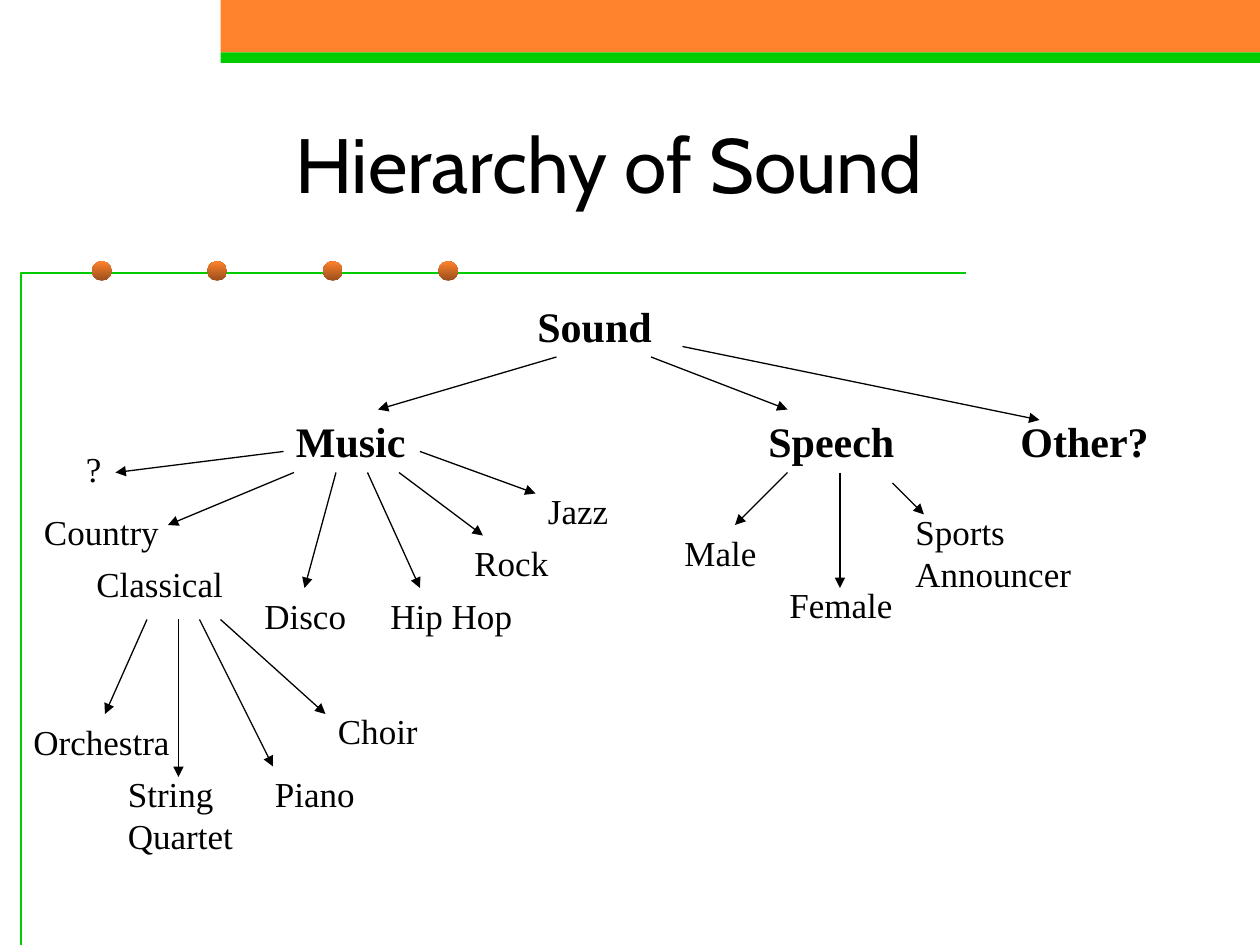
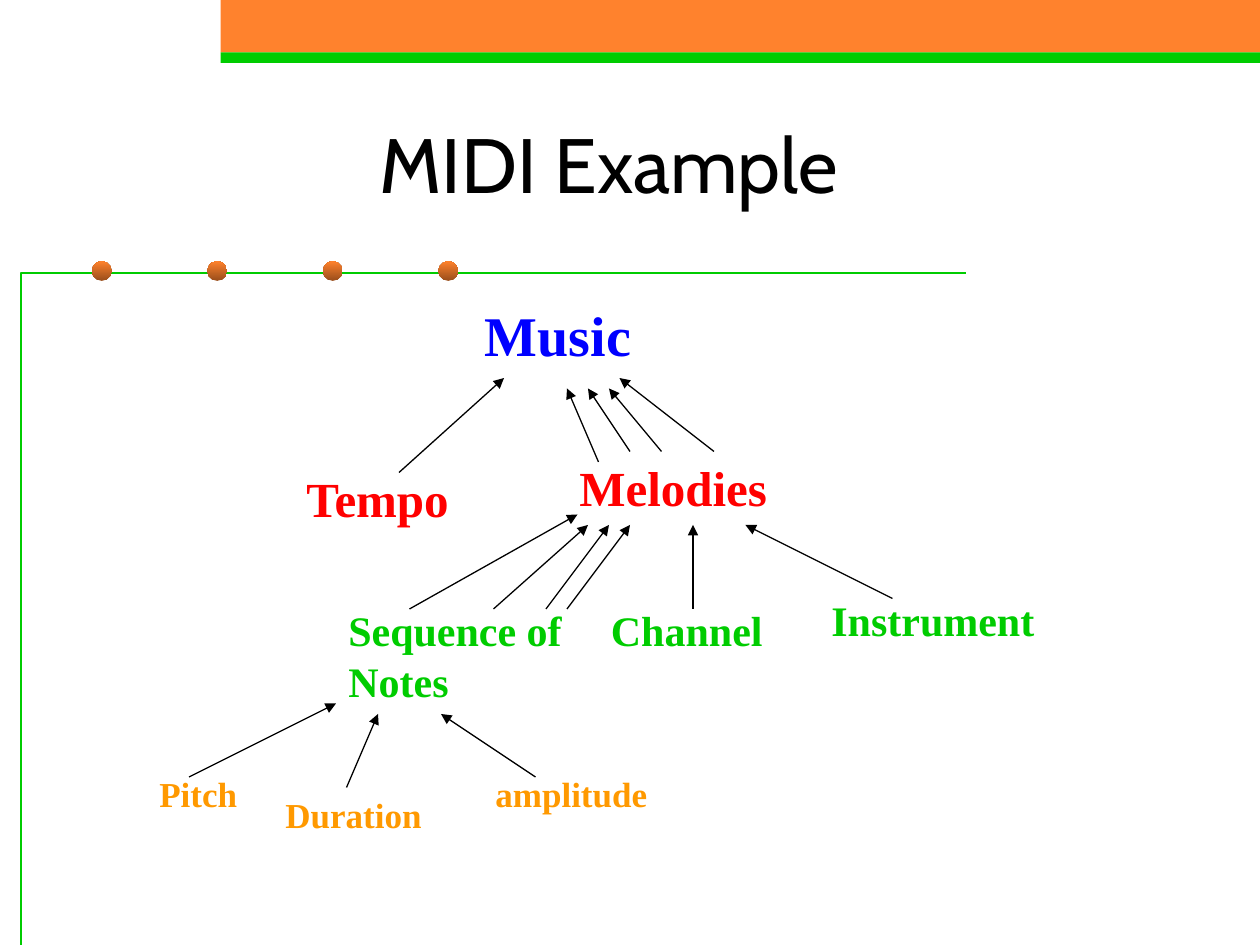
"""Build two slides of sound and music hierarchies."""
import pptx
import pptx.dml.color
import pptx.enum.shapes
import pptx.enum.text
import pptx.util
from pptx.oxml.ns import qn
from lxml import etree

PX = 9525
WIDTH, HEIGHT = 960, 720
COLORS = {
    "black": "000000", "orange": "FF822D", "brown": "9A4E1B", "green": "00CC00",
    "blue": "0000FF", "red": "FF0000", "amber": "FF9900",
}
BODY_FONT = "Times New Roman"
TITLE = {"name": "Cabin", "size": 44, "color": "black"}
CATEGORY = {"name": BODY_FONT, "size": 24, "bold": True, "color": "black"}
EXAMPLE = {"name": BODY_FONT, "size": 20, "bold": False, "color": "black"}
ROOT = {"name": BODY_FONT, "size": 32, "bold": True, "color": "blue"}
PART = {"name": BODY_FONT, "size": 28, "bold": True, "color": "red"}
FEATURE = {"name": BODY_FONT, "size": 24, "bold": True, "color": "green"}
DETAIL = {"name": BODY_FONT, "size": 20, "bold": True, "color": "amber"}

SOUND_LABELS = [
    (CATEGORY, [("Sound", 400, 224, 112), ("Music", 216, 312, 112),
                ("Other?", 768, 312, 128), ("Speech", 576, 312, 120)]),
    (EXAMPLE, [("Classical", 64, 424, 128), ("Country", 24, 384, 120),
               ("Disco", 192, 448, 88), ("Hip Hop", 288, 448, 128),
               ("Jazz", 408, 368, 72), ("Rock", 352, 408, 88),
               ("Sports\nAnnouncer", 688, 384, 152, 2), ("Female", 592, 440, 112),
               ("Male", 512, 400, 96), ("Orchestra", 16, 544, 128),
               ("String\nQuartet", 88, 584, 112, 2), ("Choir", 248, 536, 96),
               ("Piano", 200, 584, 88), ("?", 56, 336, 32)]),
]
SOUND_ARROWS = [
    (424, 272, 288, 312), (496, 272, 600, 312), (520, 264, 792, 320),
    (216, 344, 88, 360), (224, 360, 128, 400), (256, 360, 232, 448),
    (280, 360, 320, 448), (304, 360, 368, 408), (320, 344, 408, 376),
    (600, 360, 560, 400, "Male"), (640, 360, 640, 448), (680, 368, 704, 392),
    (112, 472, 80, 544, "Orchestra"), (136, 472, 136, 592),
    (152, 472, 208, 584), (168, 472, 248, 544),
]
MIDI_LABELS = [
    (ROOT, [("Music", 360, 224, 152)]),
    (PART, [("Tempo", 224, 352, 144), ("Melodies", 432, 344, 176)]),
    (FEATURE, [("Channel", 456, 456, 136), ("Instrument", 624, 448, 200),
               ("Sequence of Notes", 256, 456, 184, 2)]),
    (DETAIL, [("Pitch", 112, 584, 80), ("Duration", 208, 600, 144),
              ("amplitude", 368, 584, 136)]),
]
MIDI_ARROWS = [
    (304, 360, 384, 288), (456, 352, 432, 296), (480, 344, 448, 296),
    (504, 344, 464, 296), (544, 344, 472, 288), (528, 464, 528, 400),
    (680, 456, 568, 400), (312, 464, 440, 392), (376, 464, 448, 400),
    (416, 464, 464, 400), (432, 464, 480, 400), (144, 592, 256, 536),
    (264, 600, 288, 544), (408, 592, 336, 544),
]


def px(*values):
    """Turn pixel lengths into EMU."""
    return [round(v * PX) for v in values]


def rgb(name):
    """Look up a named colour."""
    return pptx.dml.color.RGBColor.from_string(COLORS[name])


def style_line(line, color):
    """Give a line its thin weight and colour."""
    line.width = pptx.util.Pt(0.75)
    line.color.rgb = rgb(color)


def write(tf, text, style):
    """Write one formatted paragraph and return it."""
    tf.word_wrap = True
    tf.auto_size = pptx.enum.text.MSO_AUTO_SIZE.SHAPE_TO_FIT_TEXT
    p = tf.paragraphs[0]
    p.text = text
    for r in p.runs:
        for key, value in style.items():
            if key == "color":
                r.font.color.rgb = rgb(value)
            else:
                setattr(r.font, key, pptx.util.Pt(value) if key == "size" else value)
    return p


def add_plain_shape(s, kind, box):
    """Add a preset shape without outline or shadow."""
    sp = s.shapes.add_shape(kind, *px(*box))
    sp.shadow.inherit = False
    sp.line.fill.background()
    return sp


def add_band(s, color, top, height):
    """Add a coloured band that runs to the right edge."""
    sp = add_plain_shape(s, pptx.enum.shapes.MSO_SHAPE.RECTANGLE,
                         (168, top, WIDTH - 168, height))
    sp.fill.solid()
    sp.fill.fore_color.rgb = rgb(color)


def add_dot(s, left):
    """Add a shaded dot on the frame line."""
    sp = add_plain_shape(s, pptx.enum.shapes.MSO_SHAPE.OVAL, (left, 199, 15, 15))
    sp.fill.gradient()
    sp.fill.gradient_angle = 90
    for stop, color in zip(sp.fill.gradient_stops, ("brown", "orange")):
        stop.color.rgb = rgb(color)


def add_frame(s):
    """Add the open frame along the left side and under the title."""
    builder = s.shapes.build_freeform(16, HEIGHT, scale=PX)
    builder.add_line_segments([(16, 208), (736, 208)], close=False)
    sp = builder.convert_to_shape()
    sp.shadow.inherit = False
    sp.fill.background()
    style_line(sp.line, "green")


def add_label(s, style, text, left, top, width, lines=1):
    """Add a label whose height follows from its text size."""
    size = style["size"]
    tb = s.shapes.add_textbox(*px(left, top, width, lines * size * 1.6 + 10))
    p = write(tb.text_frame, text, style)
    p.space_before = pptx.util.Pt(size * 0.625)
    return tb


def add_arrow(s, x1, y1, x2, y2, target=None):
    """Add an arrow, joined to the top of the target if there is one."""
    cx = s.shapes.add_connector(pptx.enum.shapes.MSO_CONNECTOR.STRAIGHT,
                                *px(x1, y1, x2, y2))
    if target is not None:
        cx.end_connect(target, 0)
    style_line(cx.line, "black")
    ln = cx.line.fill and cx.element.spPr.find(qn("a:ln"))
    etree.SubElement(ln, qn("a:tailEnd"), type="triangle")
    etree.SubElement(cx.element.spPr, qn("a:effectLst"))


def add_slide(prs, title):
    """Add a slide with the shared title, bands, frame and dots."""
    s = prs.slides.add_slide(prs.slide_layouts[5])
    add_band(s, "orange", 0, 40)
    add_band(s, "green", 40, 8)
    add_frame(s)
    for i in range(4):
        add_dot(s, 70 + 88 * i)
    sp = s.shapes.title
    sp.left, sp.top, sp.width, sp.height = px(56, 64, 816, 120)
    sp.text_frame.vertical_anchor = pptx.enum.text.MSO_ANCHOR.MIDDLE
    p = write(sp.text_frame, title, TITLE)
    p.alignment = pptx.enum.text.PP_ALIGN.CENTER
    return s


def add_tree(s, levels, arrows):
    """Add the labels of every level and the arrows between them."""
    boxes = {}
    for style, labels in levels:
        for label in labels:
            boxes[label[0]] = add_label(s, style, *label)
    for x1, y1, x2, y2, *target in arrows:
        add_arrow(s, x1, y1, x2, y2, *[boxes[name] for name in target])


def main():
    """Build and save the presentation."""
    prs = pptx.Presentation()
    prs.slide_width, prs.slide_height = px(WIDTH, HEIGHT)
    add_tree(add_slide(prs, "Hierarchy of Sound"), SOUND_LABELS, SOUND_ARROWS)
    add_tree(add_slide(prs, "MIDI Example"), MIDI_LABELS, MIDI_ARROWS)
    prs.save("out.pptx")


if __name__ == "__main__":
    main()
